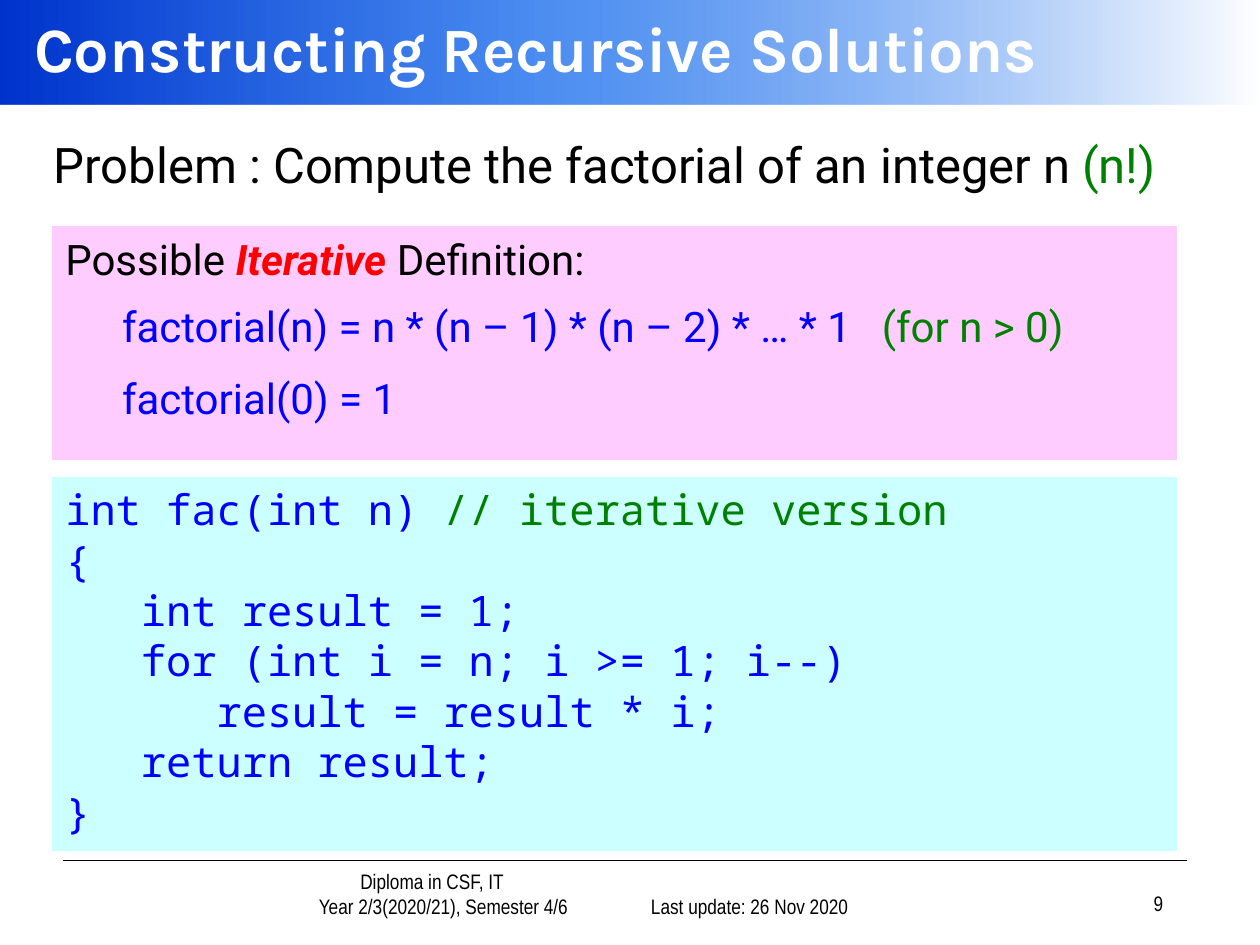
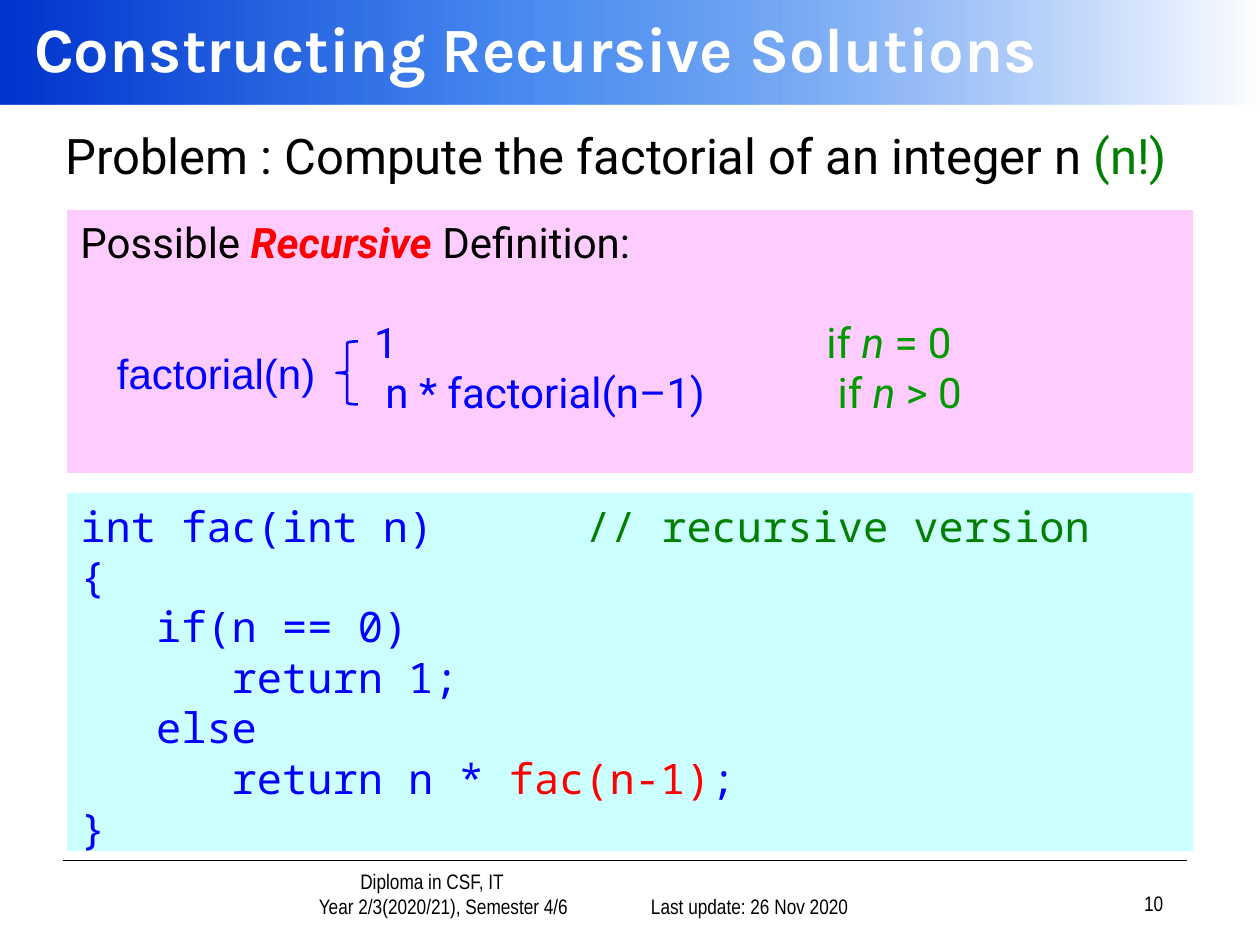
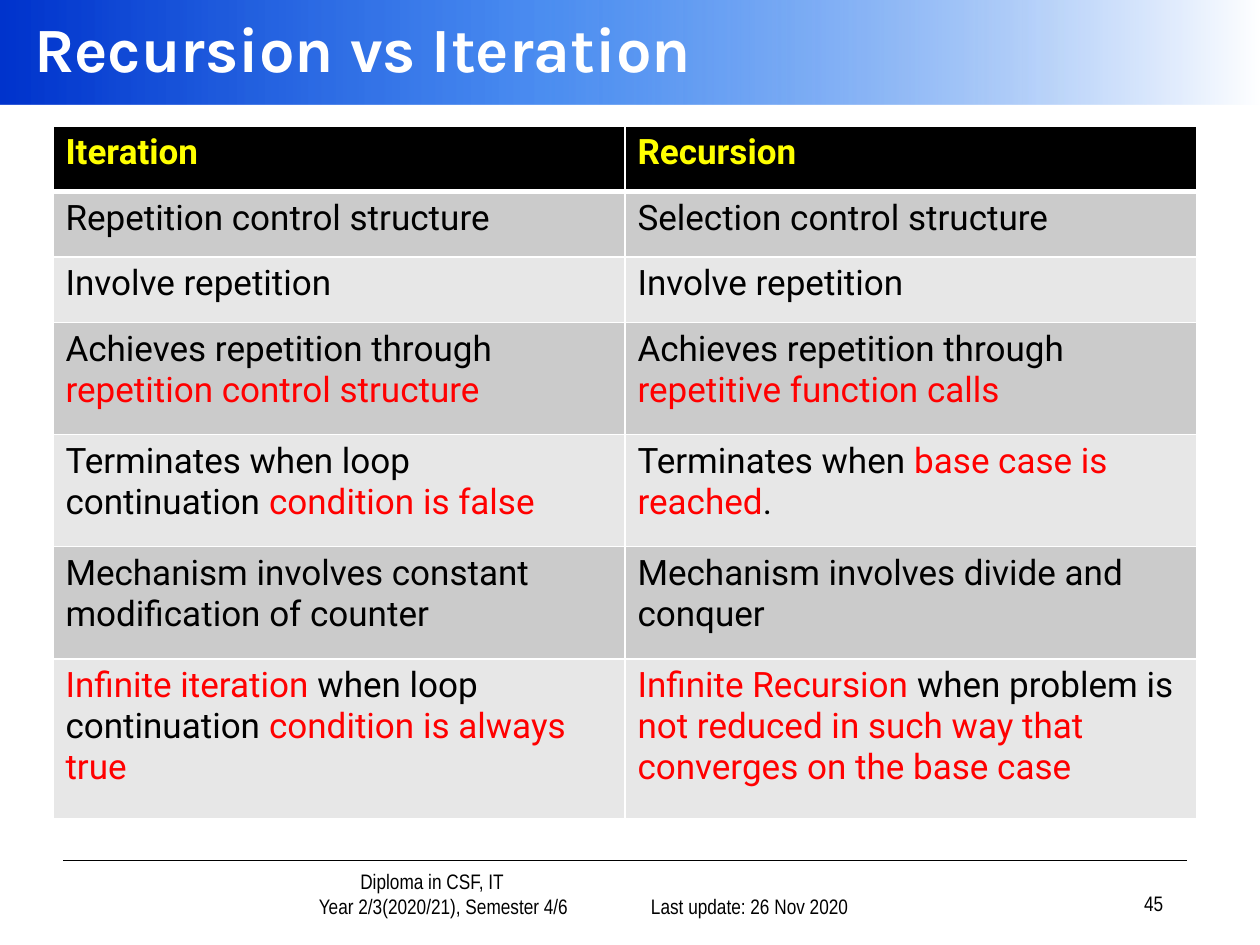
import dataclasses
import typing

import lxml.etree
import pptx
import pptx.dml.color
import pptx.enum.shapes
import pptx.enum.text
import pptx.oxml.ns
import pptx.util

Inches = pptx.util.Inches
Pt = pptx.util.Pt
qn = pptx.oxml.ns.qn
SHAPES = pptx.enum.shapes.MSO_SHAPE
ALIGN = pptx.enum.text.PP_ALIGN
ANCHOR = pptx.enum.text.MSO_ANCHOR


@dataclasses.dataclass(frozen=True)
class Theme:
    """Colours, fonts and type sizes of the deck."""

    black: str = "000000"
    white: str = "FFFFFF"
    blue: str = "0000FF"
    green: str = "008000"
    condition: str = "009900"
    red: str = "FF0000"
    yellow: str = "FFFF00"
    pink: str = "FFCCFF"
    cyan: str = "CCFFFF"
    row_fills: tuple = ("E7E7E7", "CBCBCB")
    band_stops: tuple = ((0, "0033CC", 100), (43, "005EEB", 70), (100, "FFFFFF", 100))
    title_font: str = "Karla"
    body_font: str = "Roboto"
    code_font: str = "Noto Sans Mono"
    label_font: str = "Arial"
    footer_font: str = "Arial Narrow"
    title_size: int = 36
    problem_size: int = 28
    body_size: int = 24
    table_size: int = 20
    footer_size: int = 12
    code_leading: float = 28.8


THEME = Theme()


class Span(typing.NamedTuple):
    """A piece of text in one style."""

    text: str
    color: str = THEME.black
    bold: bool = False
    italic: bool = False


class Line(typing.NamedTuple):
    """A paragraph made of spans, with tab stops and spacing."""

    spans: list
    tabs: tuple = ()
    before: float = 0
    indent: float = 0


def rgb(color):
    """Turn a hex string into a colour."""
    return pptx.dml.color.RGBColor.from_string(color)


def set_indent(para, indent):
    """Set the left indent of a paragraph."""
    para._p.get_or_add_pPr().set("marL", str(Inches(indent)))


def set_tabs(para, stops):
    """Give a paragraph left tab stops."""
    tab_list = lxml.etree.SubElement(para._p.get_or_add_pPr(), qn("a:tabLst"))
    for stop in stops:
        lxml.etree.SubElement(tab_list, qn("a:tab"), pos=str(Inches(stop)), algn="l")


def write(frame, lines, font, size, align=ALIGN.LEFT, leading=None):
    """Fill a text frame with lines, run by run."""
    frame.word_wrap = True
    for index, line in enumerate(lines):
        para = frame.add_paragraph() if index else frame.paragraphs[0]
        para.alignment = align
        if leading:
            para.line_spacing = Pt(leading)
        if line.before:
            para.space_before = Pt(line.before)
        if line.indent:
            set_indent(para, line.indent)
        if line.tabs:
            set_tabs(para, line.tabs)
        for span in line.spans:
            run = para.add_run()
            run.text = span.text
            run.font.name = font
            run.font.size = Pt(size)
            run.font.color.rgb = rgb(span.color)
            run.font.bold = span.bold
            run.font.italic = span.italic


def add_text(page, place, lines, font, size, align=ALIGN.LEFT, anchor=ANCHOR.TOP):
    """Add a text box."""
    box = page.shapes.add_textbox(*map(Inches, place))
    box.text_frame.vertical_anchor = anchor
    write(box.text_frame, lines, font, size, align)
    return box


def add_panel(page, place, color, lines, font, leading=None):
    """Add a coloured rectangle that holds text."""
    panel = page.shapes.add_shape(SHAPES.RECTANGLE, *map(Inches, place))
    panel.shadow.inherit = False
    panel.fill.solid()
    panel.fill.fore_color.rgb = rgb(color)
    panel.line.color.rgb = rgb(color)
    panel.line.width = Pt(0.75)
    panel.text_frame.vertical_anchor = ANCHOR.TOP
    write(panel.text_frame, lines, font, THEME.body_size, leading=leading)


def add_band(page):
    """Add the gradient band behind the title."""
    band = page.shapes.add_shape(SHAPES.RECTANGLE, 0, 0, Inches(10), Inches(0.83))
    band.shadow.inherit = False
    band.line.fill.background()
    band.fill.gradient()
    band.fill.gradient_angle = 0
    stop_list = band.element.find(".//" + qn("a:gsLst"))
    stop_list.clear()
    for position, color, opacity in THEME.band_stops:
        stop = lxml.etree.SubElement(stop_list, qn("a:gs"), pos=str(position * 1000))
        tint = lxml.etree.SubElement(stop, qn("a:srgbClr"), val=color)
        lxml.etree.SubElement(tint, qn("a:alpha"), val=str(opacity * 1000))


def add_rule(page):
    """Add the line above the footer."""
    rule = page.shapes.add_connector(
        pptx.enum.shapes.MSO_CONNECTOR.STRAIGHT,
        Inches(0.5), Inches(6.83), Inches(9.42), Inches(6.83))
    rule.line.color.rgb = rgb(THEME.black)
    rule.line.width = Pt(1)
    lxml.etree.SubElement(rule.element.spPr, qn("a:effectLst"))


def add_footer(page, place, lines, align):
    """Add one footer text."""
    return add_text(page, place, lines, THEME.footer_font, THEME.footer_size,
                    align, ANCHOR.BOTTOM)


def share_frame(page):
    """Put the band, rule and footers on the layout of a new page."""
    add_band(page)
    add_rule(page)
    course = add_footer(page, (2.28, 6.92, 2.3, 0.42), [
        Line([Span("Diploma in CSF, IT")]),
        Line([Span("Year 2/3(2020/21), Semester 4/6")], indent=0.18)], ALIGN.CENTER)
    course.text_frame.margin_left = course.text_frame.margin_right = 0
    add_footer(page, (4.75, 6.92, 2.08, 0.42),
               [Line([Span("Last update: 26 Nov 2020")])], ALIGN.RIGHT)
    tree = page.slide_layout.shapes.element
    for holder in list(page.slide_layout.placeholders)[1:]:
        tree.remove(holder.element)
    for shape in list(page.shapes):
        if not shape.is_placeholder:
            tree.append(shape.element)


def add_page(deck, title, number):
    """Add a page with its title and number."""
    page = deck.slides.add_slide(deck.slide_layouts[5])
    if len(deck.slides) == 1:
        share_frame(page)
    holder = page.shapes.title
    holder.left, holder.top, holder.width, holder.height = map(Inches, (0.17, 0, 9.83, 0.75))
    holder.text_frame.auto_size = pptx.enum.text.MSO_AUTO_SIZE.NONE
    holder.text_frame.vertical_anchor = ANCHOR.MIDDLE
    write(holder.text_frame, [Line([Span(title, THEME.white, bold=True)])],
          THEME.title_font, THEME.title_size)
    add_footer(page, (7.25, 6.9, 2.08, 0.42), [Line([Span(str(number))])], ALIGN.RIGHT)
    return page


def add_problem(page, left, top):
    """Add the problem statement."""
    spans = [Span("Problem : Compute the factorial of an integer n "),
             Span("(n!)", THEME.green)]
    add_text(page, (left, top, 9.33, 0.57), [Line(spans)],
             THEME.body_font, THEME.problem_size)


def add_definition(page, place, kind, formulas):
    """Add the panel that defines the factorial."""
    heading = Line([Span("Possible "), Span(kind, THEME.red, True, True),
                    Span(" Definition:")])
    add_panel(page, place, THEME.pink, [heading, *formulas], THEME.body_font)


def add_code(page, place, lines):
    """Add the panel with program code."""
    add_panel(page, place, THEME.cyan, lines, THEME.code_font, THEME.code_leading)


def code(text):
    """Make a plain line of code."""
    return Line([Span(text, THEME.blue)])


def add_brace(page):
    """Add the brace that groups the two cases."""
    brace = page.shapes.add_shape(
        SHAPES.LEFT_BRACE, *map(Inches, (2.67, 2.71, 0.17, 0.5)))
    brace.shadow.inherit = False
    brace.adjustments[0] = 0.08
    brace.fill.background()
    brace.line.color.rgb = rgb(THEME.blue)
    brace.line.width = Pt(1.5)


def set_borders(cell, top, bottom):
    """Give a cell white borders."""
    properties = cell._tc.get_or_add_tcPr()
    for side, width in (("L", 1), ("R", 1), ("T", top), ("B", bottom)):
        edge = lxml.etree.SubElement(properties, qn("a:ln" + side), w=str(Pt(width)))
        fill = lxml.etree.SubElement(edge, qn("a:solidFill"))
        lxml.etree.SubElement(fill, qn("a:srgbClr"), val=THEME.white)


def add_comparison(page, rows, heights):
    """Add the two-column comparison table."""
    table = page.shapes.add_table(
        len(rows), 2, Inches(0.42), Inches(1), Inches(9.08), Inches(sum(heights))).table
    for row_index, (row, height) in enumerate(zip(rows, heights)):
        table.rows[row_index].height = Inches(height)
        fill = THEME.row_fills[row_index % 2] if row_index else THEME.black
        for column, spans in enumerate(row):
            cell = table.cell(row_index, column)
            set_borders(cell, 3 if row_index == 1 else 1, 1 if row_index else 3)
            cell.fill.solid()
            cell.fill.fore_color.rgb = rgb(fill)
            write(cell.text_frame, [Line(spans)], THEME.body_font, THEME.table_size)


def build_iterative(deck):
    """Build the page on the iterative solution."""
    page = add_page(deck, "Constructing Recursive Solutions", 9)
    add_problem(page, 0.33, 1.02)
    add_definition(page, (0.42, 1.8, 8.92, 1.85), "Iterative", [
        Line([Span("\tfactorial(n) = n * (n – 1) * (n – 2) * … * 1\t", THEME.blue),
              Span("(for n > 0)", THEME.green)], (0.45, 6.48), 10),
        Line([Span("\tfactorial(0) = 1", THEME.blue)], (0.45,), 12)])
    add_code(page, (0.42, 3.79, 8.92, 2.96), [
        Line([Span("int fac(int n) ", THEME.blue),
              Span("// iterative version", THEME.green)]),
        code("{"),
        code("   int result = 1;"),
        code("   for (int i = n; i >= 1; i--)"),
        code("      result = result * i;"),
        code("   return result;"),
        code("}")])


def recursive_case(value, relation, tabs, before=0):
    """Make one case of the recursive definition."""
    return Line([Span("\t" + value + "\t", THEME.blue), Span("if ", THEME.condition),
                 Span("n", THEME.condition, italic=True),
                 Span(relation, THEME.condition)], tabs, before)


def build_recursive(deck):
    """Build the page on the recursive solution."""
    page = add_page(deck, "Constructing Recursive Solutions", 10)
    add_problem(page, 0.42, 0.95)
    add_definition(page, (0.54, 1.67, 8.92, 2.08), "Recursive", [
        recursive_case("1", " = 0", (2.33, 5.92), 28),
        recursive_case("n * factorial(n–1)", " > 0", (2.42, 6.01))])
    add_code(page, (0.54, 3.92, 8.92, 2.83), [
        Line([Span("int fac(int n)\t", THEME.blue),
              Span("// recursive version", THEME.green)], (4.01,)),
        code("{"),
        code("   if(n == 0)"),
        code("      return 1;"),
        code("   else"),
        Line([Span("      return n * ", THEME.blue), Span("fac(n-1)", THEME.red),
              Span(";", THEME.blue)]),
        code("}")])
    add_brace(page)
    add_text(page, (0.83, 2.71, 1.92, 0.51), [Line([Span("factorial(n)", THEME.blue)])],
             THEME.label_font, THEME.body_size)


def build_comparison(deck):
    """Build the page that compares recursion with iteration."""
    page = add_page(deck, "Recursion vs Iteration", 45)
    red = THEME.red
    rows = [
        ([Span("Iteration", THEME.yellow, True)], [Span("Recursion", THEME.yellow, True)]),
        ([Span("Repetition control structure")], [Span("Selection control structure")]),
        ([Span("Involve repetition")], [Span("Involve repetition")]),
        ([Span("Achieves repetition through "), Span("repetition control structure", red)],
         [Span("Achieves repetition through "), Span("repetitive function calls", red)]),
        ([Span("Terminates when loop continuation "), Span("condition is false", red)],
         [Span("Terminates when "), Span("base case is reached", red), Span(".")]),
        ([Span("Mechanism involves constant modification of counter")],
         [Span("Mechanism involves divide and conquer")]),
        ([Span("Infinite iteration ", red), Span("when loop continuation "),
          Span("condition is always true", red)],
         [Span("Infinite Recursion ", red), Span("when problem is "),
          Span("not reduced in such way that converges on the base case", red)]),
    ]
    add_comparison(page, rows, [0.52] * 3 + [0.89] * 3 + [1.27])


def main():
    """Build and save the deck."""
    deck = pptx.Presentation()
    deck.slide_width, deck.slide_height = Inches(10), Inches(7.5)
    build_iterative(deck)
    build_recursive(deck)
    build_comparison(deck)
    deck.save("out.pptx")


if __name__ == "__main__":
    main()
